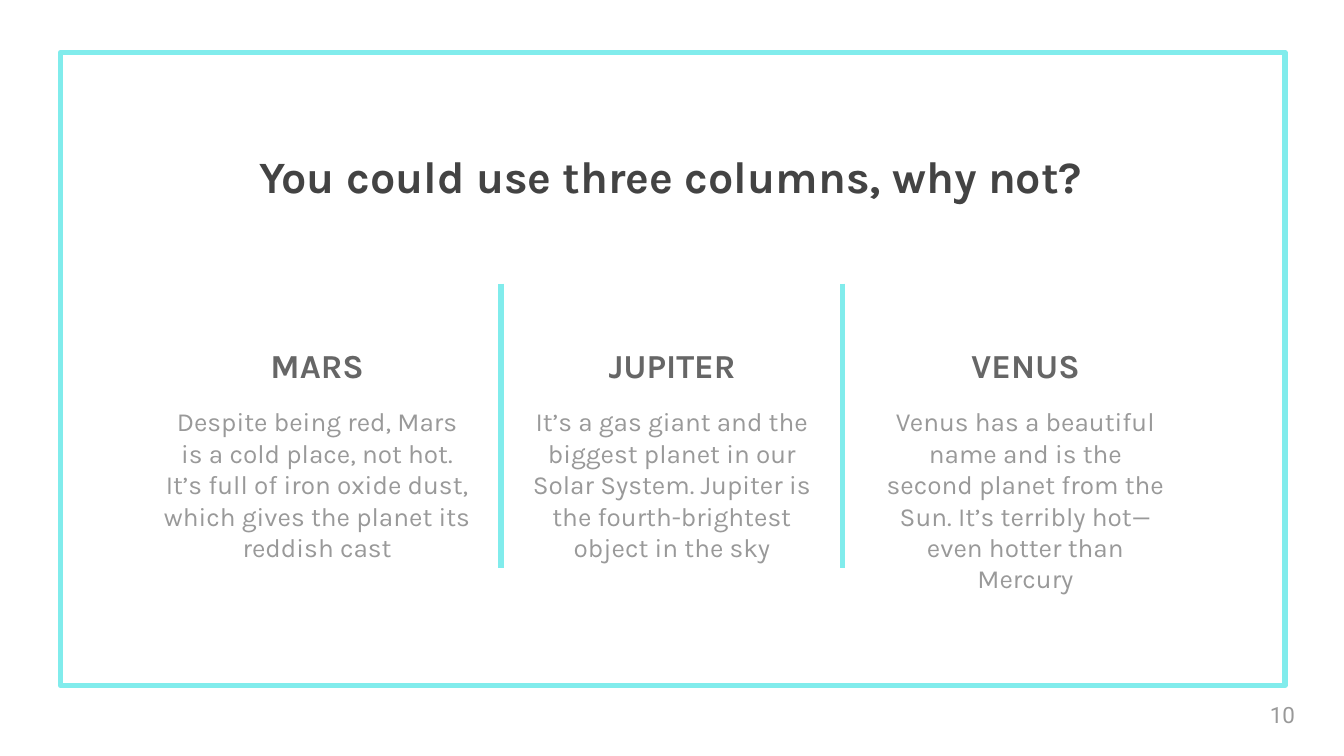
from lxml import etree
from pptx import Presentation
from pptx.dml.color import RGBColor
from pptx.enum.shapes import MSO_CONNECTOR, MSO_SHAPE
from pptx.enum.text import MSO_ANCHOR, PP_ALIGN
from pptx.oxml.ns import qn
from pptx.util import Inches, Pt

STRAIGHT = MSO_CONNECTOR.STRAIGHT
RECTANGLE = MSO_SHAPE.RECTANGLE
TOP, MIDDLE, BOTTOM = MSO_ANCHOR.TOP, MSO_ANCHOR.MIDDLE, MSO_ANCHOR.BOTTOM
LEFT, CENTER = PP_ALIGN.LEFT, PP_ALIGN.CENTER

COLORS = {
    "accent": "81ECEC",
    "title": "434343",
    "heading": "666666",
    "body": "999999",
}
TITLE = "You could use three columns, why not?"
PAGE_NUMBER = "10"
PLANETS = [
    {"name": "MARS", "center": 2.36, "body_width": 2.48,
     "body": "Despite being red, Mars is a cold place, not hot. It’s full of "
             "iron oxide dust, which gives the planet its reddish cast"},
    {"name": "JUPITER", "center": 5, "body_width": 2.31,
     "body": "It’s a gas giant and the biggest planet in our Solar System. "
             "Jupiter is the fourth-brightest object in the sky"},
    {"name": "VENUS", "center": 7.63, "body_width": 2.31,
     "body": "Venus has a beautiful name and is the second planet from the "
             "Sun. It’s terribly hot—even hotter than Mercury"},
]
SLIDE_WIDTH = 10
SLIDE_HEIGHT = SLIDE_WIDTH * 9 / 16
HEADING_WIDTH = 2.31
DIVIDER_OFFSET = 1.27
DIVIDER_TOP, DIVIDER_BOTTOM = 2.11, 4.23


def color(name):
    return RGBColor.from_string(COLORS[name])


def style_line(shape):
    shape.line.color.rgb = color("accent")
    shape.line.width = Pt(3)


def add_text(slide, text, left, top, width, height, *, size, fill,
             font="Karla", bold=False, align=CENTER, anchor=TOP):
    box = slide.shapes.add_textbox(
        Inches(left), Inches(top), Inches(width), Inches(height))
    frame = box.text_frame
    frame.word_wrap = True
    frame.vertical_anchor = anchor
    frame.margin_left = frame.margin_right = Inches(0.1)
    frame.margin_top = frame.margin_bottom = Inches(0.1)
    paragraph = frame.paragraphs[0]
    paragraph.alignment = align
    run = paragraph.add_run()
    run.text = text
    run.font.name = font
    run.font.size = Pt(size)
    run.font.bold = bold
    run.font.color.rgb = color(fill)


def add_frame(slide):
    frame = slide.shapes.add_shape(
        RECTANGLE, Inches(0.45), Inches(0.39), Inches(9.11), Inches(4.71))
    frame.shadow.inherit = False
    frame.fill.background()
    style_line(frame)
    etree.SubElement(frame.line._get_or_add_ln(), qn("a:round"))


def add_divider(slide, x):
    divider = slide.shapes.add_connector(
        STRAIGHT, Inches(x), Inches(DIVIDER_TOP),
        Inches(x), Inches(DIVIDER_BOTTOM))
    style_line(divider)
    etree.SubElement(divider._element.spPr, qn("a:effectLst"))


def add_planet(slide, planet):
    center, body_width = planet["center"], planet["body_width"]
    add_text(slide, planet["name"], center - HEADING_WIDTH / 2, 2.26,
             HEADING_WIDTH, 0.71, size=18, fill="heading", bold=True,
             anchor=BOTTOM)
    add_text(slide, planet["body"], center - body_width / 2, 2.92,
             body_width, 1.7, size=14, fill="body")


def main():
    presentation = Presentation()
    presentation.slide_width = Inches(SLIDE_WIDTH)
    presentation.slide_height = Inches(SLIDE_HEIGHT)
    slide = presentation.slides.add_slide(presentation.slide_layouts[6])

    add_frame(slide)
    add_text(slide, TITLE, -0.01, 1.01, SLIDE_WIDTH, 0.53,
             size=24, fill="title", bold=True)
    for side in (-1, 1):
        add_divider(slide, SLIDE_WIDTH / 2 + side * DIVIDER_OFFSET)
    add_text(slide, PAGE_NUMBER, 9.35, 5.1, 0.6, 0.43, size=12, fill="body",
             font="Roboto", align=LEFT, anchor=MIDDLE)
    for planet in PLANETS:
        add_planet(slide, planet)

    presentation.save("out.pptx")


if __name__ == "__main__":
    main()
